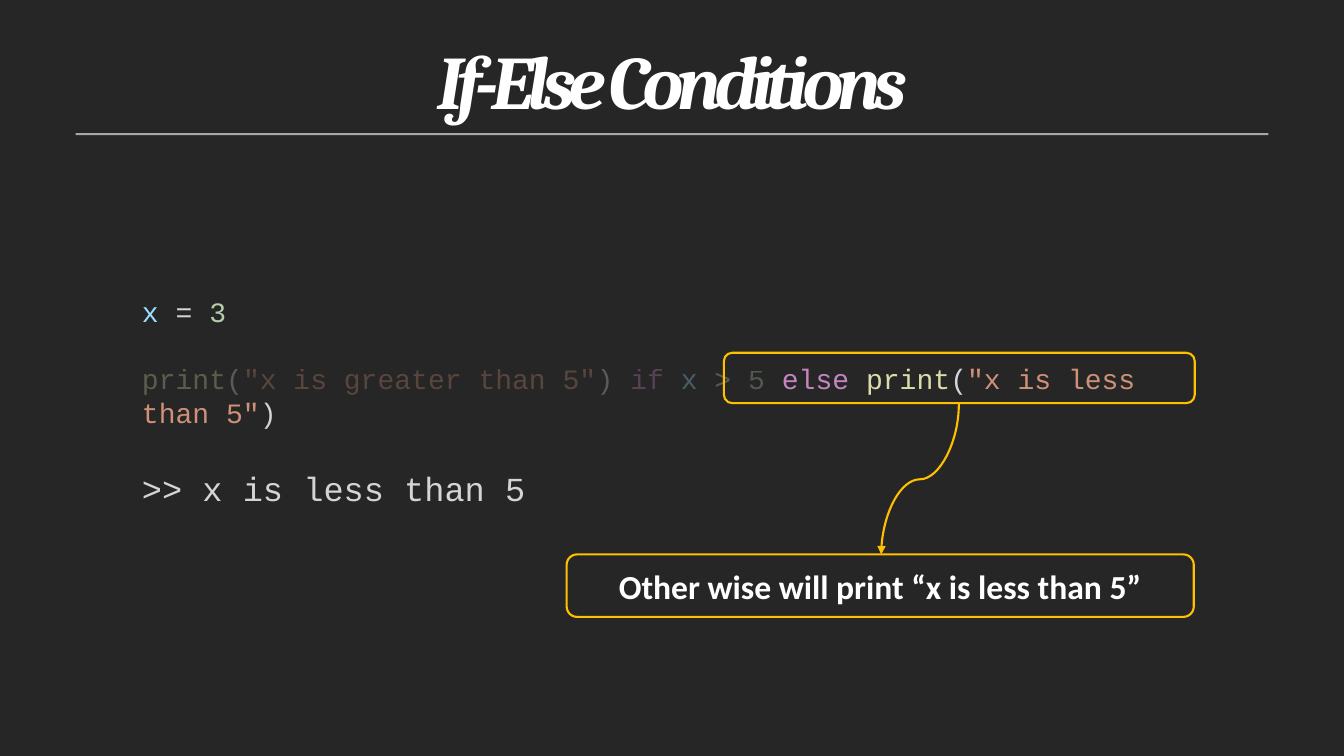
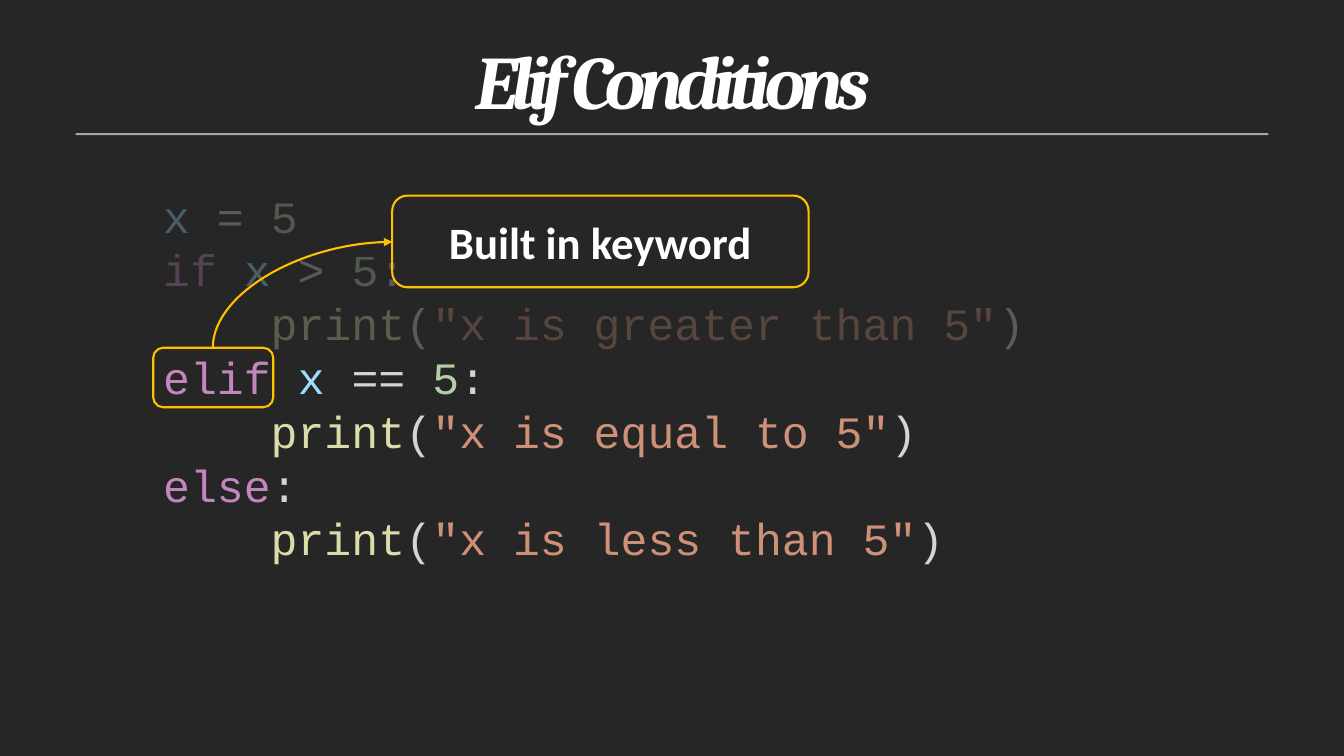
from lxml.etree import SubElement
from pptx import Presentation
from pptx.dml.color import RGBColor
from pptx.enum.shapes import MSO_CONNECTOR, MSO_SHAPE
from pptx.enum.text import MSO_ANCHOR, PP_ALIGN
from pptx.oxml.ns import qn
from pptx.util import Inches, Pt

# Theme: colours, type and code tokens
THEME = {
    "background": "262626",
    "rule": "A6A6A6",
    "accent": "FFC000",
    "text": "FFFFFF",
    "dim_alpha": "30000",
    "outline": Pt(1.5),
    "title": {"name": "Cambria", "size": Pt(54), "bold": True, "italic": True},
    "title_tracking": "-480",
    "title_leading": Pt(80.7),
    "code": "Courier New",
    "callout": {"name": "Calibri", "bold": True},
    "tokens": {
        "variable": "9CDCFE",
        "plain": "D4D4D4",
        "number": "B5CEA8",
        "function": "DCDCAA",
        "string": "CE9178",
        "keyword": "C586C0",
    },
}


def add_run(paragraph, text, color, formats):
    run = paragraph.add_run()
    run.text = text
    for name, value in formats.items():
        setattr(run.font, name, value)
    run.font.color.rgb = RGBColor.from_string(color)
    return run


def print_call(message, indent=""):
    return [("function", indent + "print"), ("plain", "("),
            ("string", f'"{message}"'), ("plain", ")")]


# Content: each code line is (dimmed tokens, bright tokens, space before)
INDENT = "    "
SLIDES = [
    {
        "title": "If-Else Conditions",
        "code_blocks": [
            {
                "box": (1.31, 2.87, 10.71, 1.11),
                "size": 20,
                "lines": [
                    ([], [("variable", "x"), ("plain", " = "), ("number", "3")], 0),
                    (print_call("x is greater than 5")
                     + [("keyword", " if "), ("variable", "x"), ("plain", " > "),
                        ("number", "5 ")],
                     [("keyword", "else ")] + print_call("x is less than 5"), 24),
                ],
            },
            {
                "box": (1.31, 4.59, 6.67, 0.5),
                "size": 24,
                "lines": [([], [("plain", ">> x is less than 5")], 0)],
            },
        ],
        "highlight": (7.18, 3.5, 4.67, 0.5),
        "callout": (5.62, 5.5, 6.22, 0.62),
        "callout_text": "Other wise will print “x is less than 5”",
        "callout_size": 24,
        "arrow": ((9.51, 4.01), (8.74, 5.5), "curvedConnector3"),
    },
    {
        "title": "Elif Conditions",
        "code_blocks": [
            {
                "box": (1.52, 1.82, 10.3, 3.87),
                "size": 32,
                "lines": [
                    ([("variable", "x"), ("plain", " = "), ("number", "5")], [], 0),
                    ([("keyword", "if "), ("variable", "x"), ("plain", " > "),
                      ("number", "5"), ("plain", ":")], [], 0),
                    (print_call("x is greater than 5", INDENT), [], 0),
                    ([], [("keyword", "elif "), ("variable", "x"), ("plain", " == "),
                          ("number", "5"), ("plain", ":")], 0),
                    ([], print_call("x is equal to 5", INDENT), 0),
                    ([], [("keyword", "else"), ("plain", ":")], 0),
                    ([], print_call("x is less than 5", INDENT), 0),
                ],
            },
        ],
        "highlight": (1.52, 3.45, 1.19, 0.59),
        "callout": (3.89, 1.94, 4.13, 0.91),
        "callout_text": "Built in keyword",
        "callout_size": 32,
        "arrow": ((2.11, 3.45), (3.89, 2.4), "curvedConnector2"),
    },
]

presentation = Presentation()
presentation.slide_width = Inches(13.33)
presentation.slide_height = Inches(7.5)

# Shared background
background = presentation.slide_master.background.fill
background.solid()
background.fore_color.rgb = RGBColor.from_string(THEME["background"])

for content in SLIDES:
    slide = presentation.slides.add_slide(presentation.slide_layouts[6])

    # Rule under the title
    rule = slide.shapes.add_shape(
        MSO_SHAPE.RECTANGLE, Inches(0.75), Inches(1.32), Inches(11.83), Inches(0.02))
    rule.shadow.inherit = False
    rule.fill.solid()
    rule.fill.fore_color.rgb = RGBColor.from_string(THEME["rule"])
    rule.line.fill.background()

    # Title
    title = slide.shapes.add_textbox(
        Inches(1.13), Inches(0.07), Inches(11.08), Inches(1.13))
    title.text_frame.word_wrap = True
    paragraph = title.text_frame.paragraphs[0]
    paragraph.alignment = PP_ALIGN.CENTER
    paragraph.line_spacing = THEME["title_leading"]
    run = add_run(paragraph, content["title"], THEME["text"], THEME["title"])
    run.font._element.set("spc", THEME["title_tracking"])

    # Code
    for block in content["code_blocks"]:
        frame = slide.shapes.add_textbox(*map(Inches, block["box"])).text_frame
        frame.word_wrap = True
        code_font = {"name": THEME["code"], "size": Pt(block["size"])}
        for index, (dimmed, bright, space_before) in enumerate(block["lines"]):
            paragraph = frame.add_paragraph() if index else frame.paragraphs[0]
            if space_before:
                paragraph.space_before = Pt(space_before)
            for token, text in dimmed:
                run = add_run(paragraph, text, THEME["tokens"][token], code_font)
                color = run.font._element.find(".//" + qn("a:srgbClr"))
                SubElement(color, qn("a:alpha")).set("val", THEME["dim_alpha"])
            for token, text in bright:
                add_run(paragraph, text, THEME["tokens"][token], code_font)

    # Highlight and callout outlines
    for name in ("highlight", "callout"):
        outline = slide.shapes.add_shape(
            MSO_SHAPE.ROUNDED_RECTANGLE, *map(Inches, content[name]))
        outline.shadow.inherit = False
        outline.fill.background()
        outline.line.color.rgb = RGBColor.from_string(THEME["accent"])
        outline.line.width = THEME["outline"]

    # Callout text, in the last outline drawn
    frame = outline.text_frame
    frame.word_wrap = True
    frame.vertical_anchor = MSO_ANCHOR.MIDDLE
    paragraph = frame.paragraphs[0]
    paragraph.alignment = PP_ALIGN.CENTER
    add_run(paragraph, content["callout_text"], THEME["text"],
            {**THEME["callout"], "size": Pt(content["callout_size"])})

    # Curved arrow: laid out sideways, then turned a quarter so it leaves vertically
    (start_x, start_y), (end_x, end_y), preset = content["arrow"]
    center_x, center_y = (start_x + end_x) / 2, (start_y + end_y) / 2
    half_x, half_y = (end_y - start_y) / 2, (start_x - end_x) / 2
    arrow = slide.shapes.add_connector(
        MSO_CONNECTOR.CURVE,
        Inches(center_x - half_x), Inches(center_y - half_y),
        Inches(center_x + half_x), Inches(center_y + half_y))
    arrow.line.color.rgb = RGBColor.from_string(THEME["accent"])
    arrow.line.width = THEME["outline"]
    properties = arrow._element.spPr
    properties.find(qn("a:xfrm")).set("rot", str(90 * 60000))
    properties.find(qn("a:prstGeom")).set("prst", preset)
    SubElement(properties.find(qn("a:ln")), qn("a:tailEnd")).set("type", "triangle")
    SubElement(properties, qn("a:effectLst"))

presentation.save("out.pptx")
